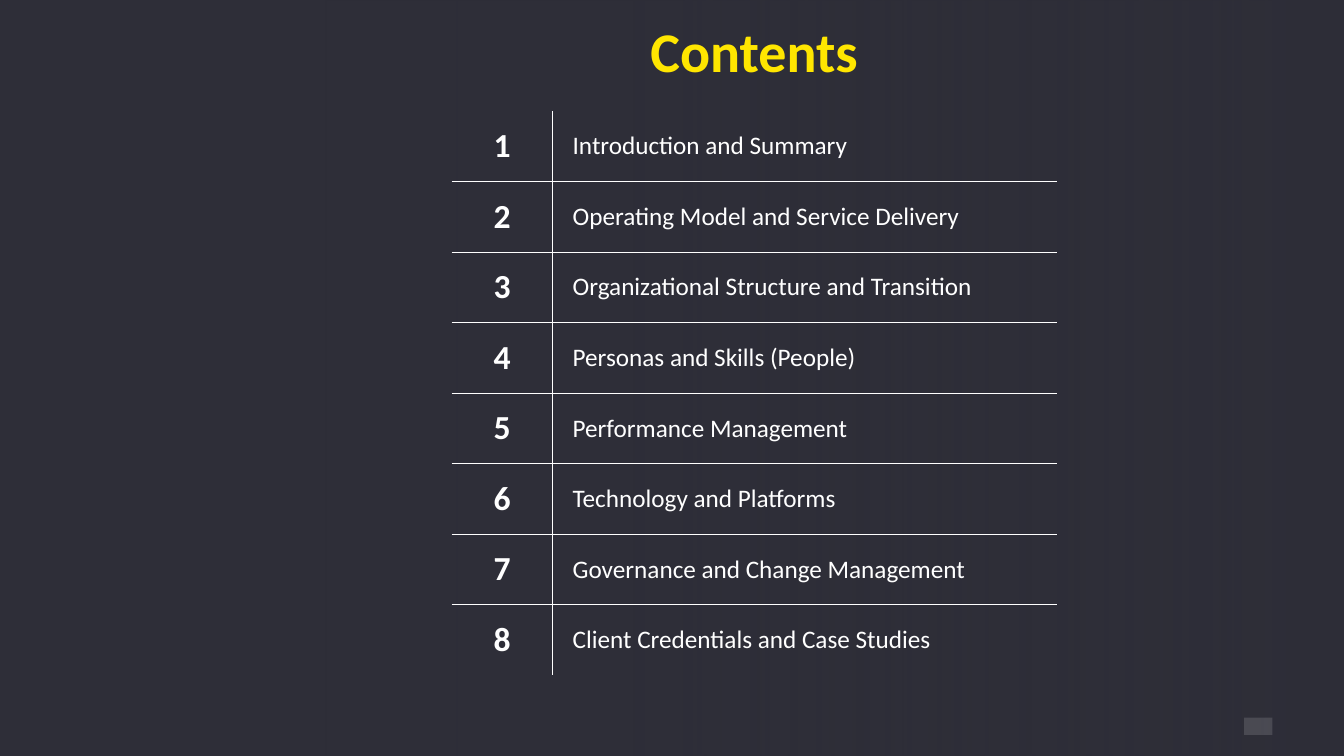
from lxml import etree
from pptx import Presentation
from pptx import util as u
from pptx.dml.color import RGBColor
from pptx.enum import shapes, text
from pptx.oxml.ns import qn

BACKGROUND, YELLOW, WHITE = "2E2E38", "FFE600", "FFFFFF"
TOPICS = [
    "Introduction and Summary",
    "Operating Model and Service Delivery",
    "Organizational Structure and Transition",
    "Personas and Skills (People)",
    "Performance Management",
    "Technology and Platforms",
    "Governance and Change Management",
    "Client Credentials and Case Studies",
]


def set_color(color_format, color):
    """Apply a hex colour to a python-pptx colour format."""
    color_format.rgb = RGBColor.from_string(color)


def write(tf, content, size, color=WHITE, bold=False, align=text.PP_ALIGN.LEFT):
    """Write one formatted paragraph."""
    p = tf.paragraphs[0]
    p.alignment = align
    r = p.add_run()
    r.text = content
    r.font.name = "Calibri"
    r.font.size = u.Pt(size)
    r.font.bold = bold
    set_color(r.font.color, color)


def add_rect(s, left, top, width, height, color):
    """Add a plain filled rectangle without outline or shadow."""
    sp = s.shapes.add_shape(shapes.MSO_SHAPE.RECTANGLE, u.Inches(left),
                            u.Inches(top), u.Inches(width), u.Inches(height))
    sp.shadow.inherit = False
    sp.line.fill.background()
    sp.fill.solid()
    set_color(sp.fill.fore_color, color)
    return sp


def add_veil(s, left, top, width, height, stops):
    """Add a quarter-turned rectangle whose opacity varies along its height."""
    sp = add_rect(s, left, top, width, height, BACKGROUND)
    sp.rotation = 90
    grad = etree.Element(qn("a:gradFill"), rotWithShape="1")
    stop_list = etree.SubElement(grad, qn("a:gsLst"))
    for position, opacity in stops:
        stop = etree.SubElement(stop_list, qn("a:gs"), pos=str(position * 1000))
        clr = etree.SubElement(stop, qn("a:srgbClr"), val=BACKGROUND)
        etree.SubElement(clr, qn("a:alpha"), val=str(opacity * 1000))
    etree.SubElement(grad, qn("a:lin"), ang="5400000", scaled="0")
    solid = sp._element.spPr.find(qn("a:solidFill"))
    solid.getparent().replace(solid, grad)


def set_borders(cell, visible, color=WHITE, width=0.5):
    """Draw the visible edges of a cell and clear the others."""
    tc_pr = cell._tc.get_or_add_tcPr()
    for i, edge in enumerate("LRTB"):
        ln = etree.Element(qn(f"a:ln{edge}"), w=str(u.Pt(width)))
        if edge in visible:
            fill = etree.SubElement(ln, qn("a:solidFill"))
            etree.SubElement(fill, qn("a:srgbClr"), val=color)
        else:
            etree.SubElement(ln, qn("a:noFill"))
        tc_pr.insert(i, ln)


def add_title(s, content):
    """Place the slide title above the table and in front of the veils."""
    sp = s.shapes.title
    sp.left, sp.top = u.Inches(3.23), u.Inches(0)
    sp.width, sp.height = u.Inches(8.5), u.Inches(1)
    sp.text_frame.word_wrap = True
    sp.text_frame.vertical_anchor = text.MSO_ANCHOR.MIDDLE
    write(sp.text_frame, content, 40, YELLOW, True, text.PP_ALIGN.CENTER)
    s.shapes._spTree.append(sp._element)


def add_contents_table(s, topics):
    """Add numbered topics separated by thin inner rules."""
    rows = len(topics)
    frame = s.shapes.add_table(rows, 2, u.Inches(4.48), u.Inches(1.1),
                               u.Inches(6), u.Inches(0.7 * rows))
    table = frame.table
    table.first_row = table.horz_banding = False
    table.columns[0].width, table.columns[1].width = u.Inches(1), u.Inches(5)
    for i, topic in enumerate(topics):
        number, label = table.cell(i, 0), table.cell(i, 1)
        rules = ("T" if i > 0 else "") + ("B" if i < rows - 1 else "")
        for cell, side in ((number, "R"), (label, "L")):
            cell.margin_left = cell.margin_right = u.Inches(0.2)
            cell.vertical_anchor = text.MSO_ANCHOR.MIDDLE
            cell.fill.background()
            set_borders(cell, rules + side)
        write(number.text_frame, str(i + 1), 24, bold=True,
              align=text.PP_ALIGN.CENTER)
        write(label.text_frame, topic, 18)


def main():
    """Build the contents slide."""
    prs = Presentation()
    prs.slide_width, prs.slide_height = u.Inches(13.33), u.Inches(7.5)
    s = prs.slides.add_slide(prs.slide_layouts[5])
    s.background.fill.solid()
    set_color(s.background.fill.fore_color, BACKGROUND)
    add_rect(s, 12.34, 7.12, 0.28, 0.17, WHITE)
    add_veil(s, 5.18, -0.66, 7.5, 8.81, [(0, 79), (80, 50)])
    add_veil(s, 4.53, -1.31, 7.5, 10.11, [(5, 41), (20, 49), (65, 91)])
    add_title(s, "Contents")
    add_contents_table(s, TOPICS)
    prs.save("out.pptx")


if __name__ == "__main__":
    main()
